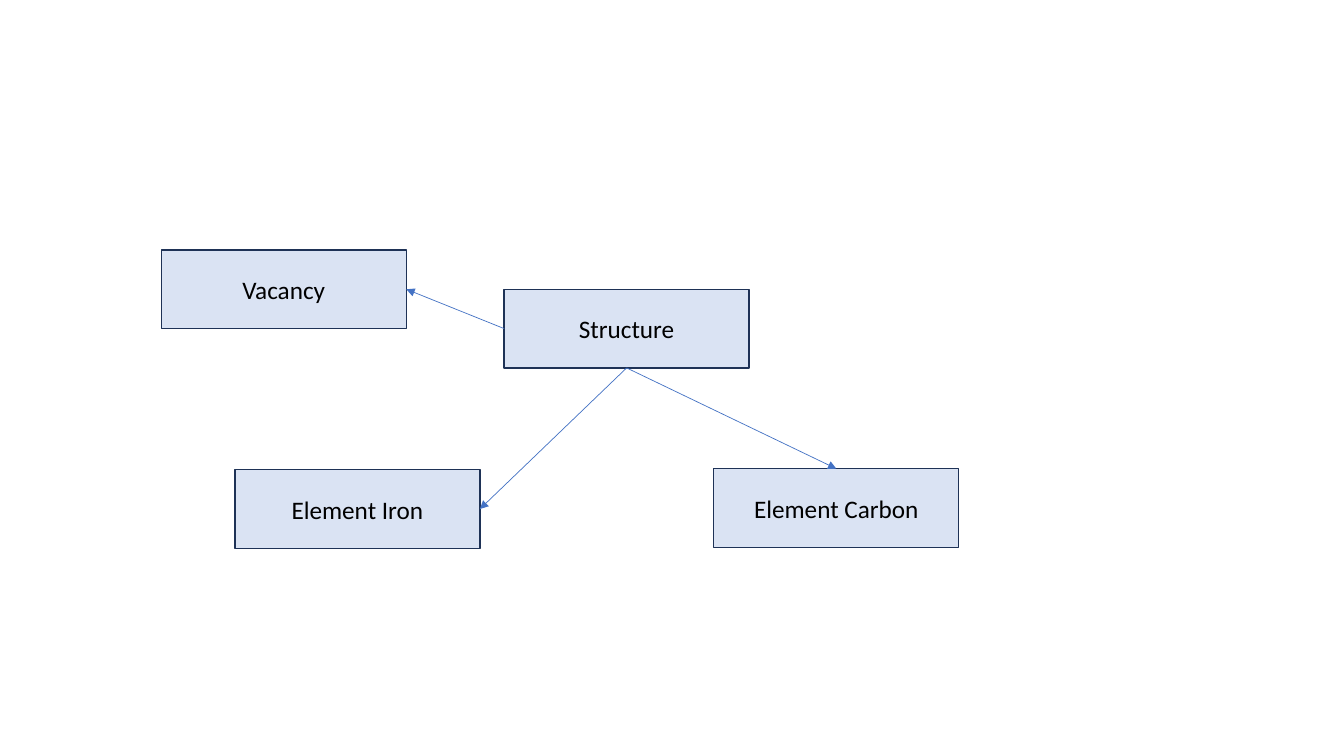
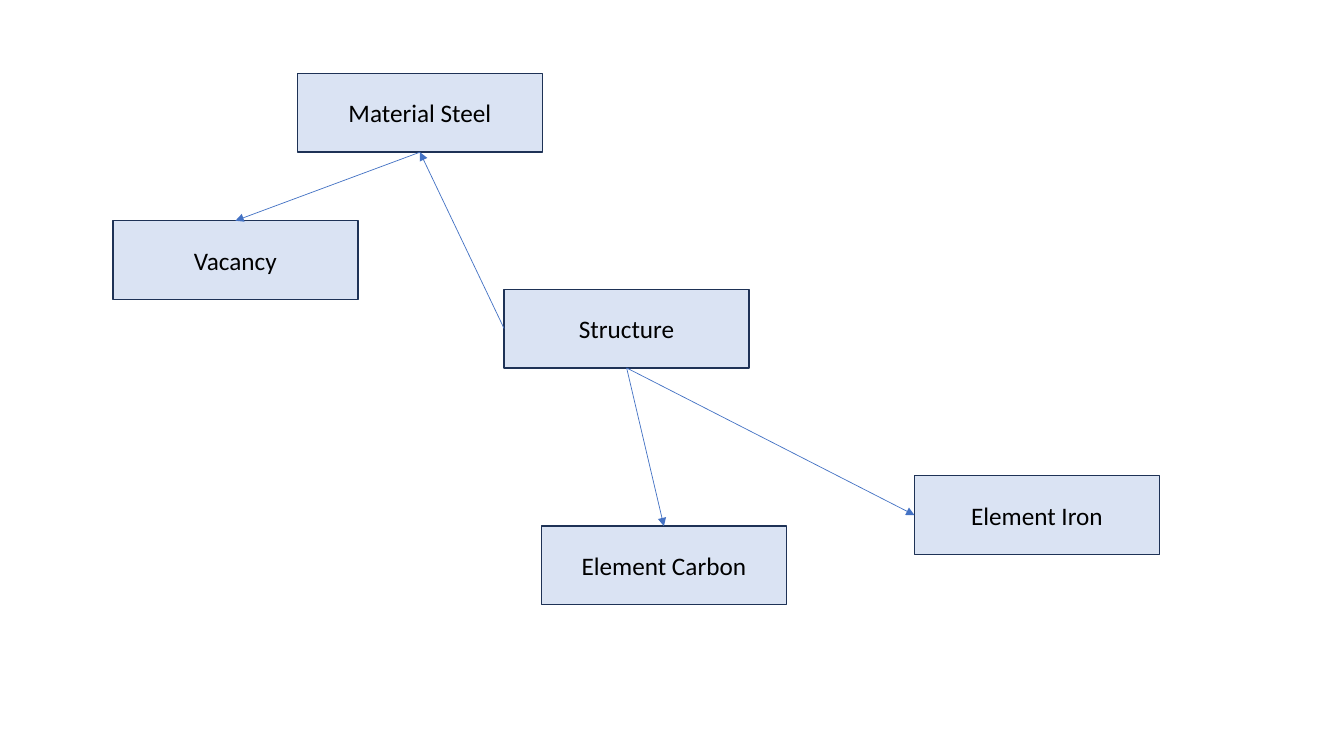
from dataclasses import dataclass
from enum import IntEnum

from lxml.etree import SubElement
from pptx import Presentation
from pptx.dml.color import RGBColor
from pptx.enum.shapes import MSO_CONNECTOR, MSO_SHAPE
from pptx.enum.text import MSO_ANCHOR, PP_ALIGN
from pptx.oxml.ns import qn
from pptx.presentation import Presentation as Deck
from pptx.shapes.autoshape import Shape
from pptx.shapes.connector import Connector
from pptx.slide import Slide
from pptx.util import Inches, Pt

BOX_FILL = RGBColor(0xDA, 0xE3, 0xF3)
BOX_LINE = RGBColor(0x1E, 0x32, 0x56)
ARROW = RGBColor(0x44, 0x72, 0xC4)
BLACK = RGBColor(0, 0, 0)

BOX_W, BOX_H = 2.43, 0.78
LABEL_FONT = {"name": "Calibri", "size": Pt(18)}


class Side(IntEnum):
    """Connection sites of a rectangle."""
    TOP = 0
    LEFT = 1
    BOTTOM = 2
    RIGHT = 3


@dataclass(frozen=True)
class Node:
    label: str
    left: float
    top: float


@dataclass(frozen=True)
class Link:
    start: str
    start_side: Side
    end: str
    end_side: Side


@dataclass(frozen=True)
class Graph:
    nodes: list[Node]
    links: list[Link]


STRUCTURE = Node("Structure", 5, 2.87)

GRAPHS = [
    Graph(
        [
            STRUCTURE,
            Node("Vacancy", 1.6, 2.48),
            Node("Element Iron", 2.33, 4.66),
            Node("Element Carbon", 7.08, 4.65),
        ],
        [
            Link("Structure", Side.LEFT, "Vacancy", Side.RIGHT),
            Link("Structure", Side.BOTTOM, "Element Iron", Side.RIGHT),
            Link("Structure", Side.BOTTOM, "Element Carbon", Side.TOP),
        ],
    ),
    Graph(
        [
            STRUCTURE,
            Node("Vacancy", 1.12, 2.19),
            Node("Element Iron", 9.07, 4.72),
            Node("Material Steel", 2.95, 0.73),
            Node("Element Carbon", 5.37, 5.22),
        ],
        [
            Link("Structure", Side.LEFT, "Material Steel", Side.BOTTOM),
            Link("Structure", Side.BOTTOM, "Element Iron", Side.LEFT),
            Link("Material Steel", Side.BOTTOM, "Vacancy", Side.TOP),
            Link("Structure", Side.BOTTOM, "Element Carbon", Side.TOP),
        ],
    ),
]


def add_node(slide: Slide, node: Node) -> Shape:
    sp = slide.shapes.add_shape(
        MSO_SHAPE.RECTANGLE,
        Inches(node.left), Inches(node.top), Inches(BOX_W), Inches(BOX_H),
    )
    sp.shadow.inherit = False
    sp.fill.solid()
    sp.fill.fore_color.rgb = BOX_FILL
    sp.line.color.rgb = BOX_LINE
    sp.line.width = Pt(1)

    tf = sp.text_frame
    tf.vertical_anchor = MSO_ANCHOR.MIDDLE
    p = tf.paragraphs[0]
    p.alignment = PP_ALIGN.CENTER
    r = p.add_run()
    r.text = node.label
    r.font.color.rgb = BLACK
    for attr, value in LABEL_FONT.items():
        setattr(r.font, attr, value)
    return sp


def add_link(slide: Slide, link: Link, boxes: dict[str, Shape]) -> Connector:
    """Draw an arrow glued to the boxes at both of its ends."""
    cxn = slide.shapes.add_connector(MSO_CONNECTOR.STRAIGHT, 0, 0, 0, 0)
    cxn.begin_connect(boxes[link.start], link.start_side.value)
    cxn.end_connect(boxes[link.end], link.end_side.value)
    cxn.line.color.rgb = ARROW
    cxn.line.width = Pt(0.5)
    sp_pr = cxn._element.spPr
    SubElement(sp_pr.find(qn("a:ln")), qn("a:tailEnd"), type="triangle")
    SubElement(sp_pr, qn("a:effectLst"))
    return cxn


def add_graph_slide(prs: Deck, graph: Graph) -> None:
    slide = prs.slides.add_slide(prs.slide_layouts.get_by_name("Blank"))
    boxes = {node.label: add_node(slide, node) for node in graph.nodes}
    for link in graph.links:
        add_link(slide, link, boxes)


def main() -> None:
    prs = Presentation()
    prs.slide_width = Inches(13.33)
    prs.slide_height = Inches(7.5)
    for graph in GRAPHS:
        add_graph_slide(prs, graph)
    prs.save("out.pptx")


if __name__ == "__main__":
    main()
